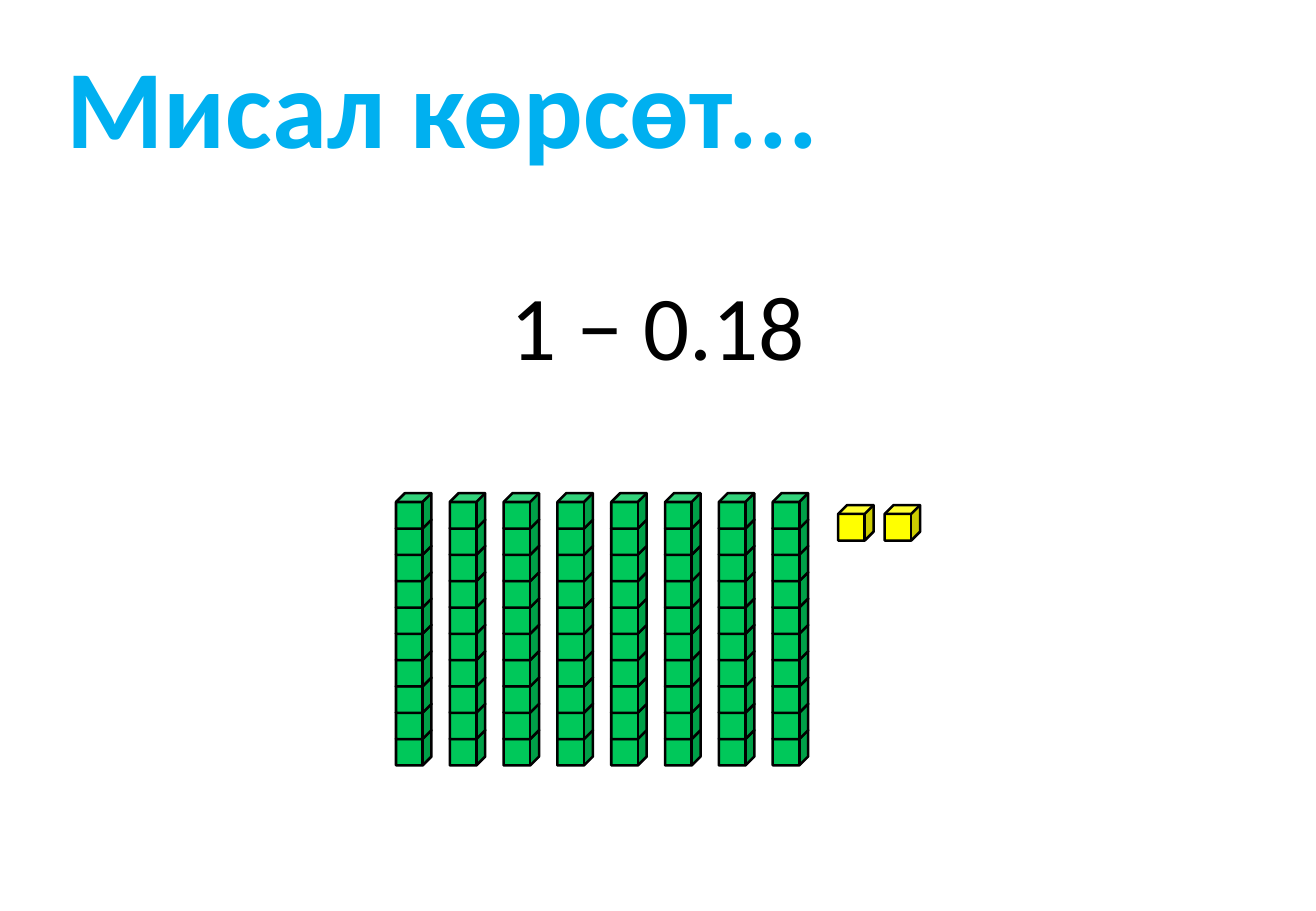
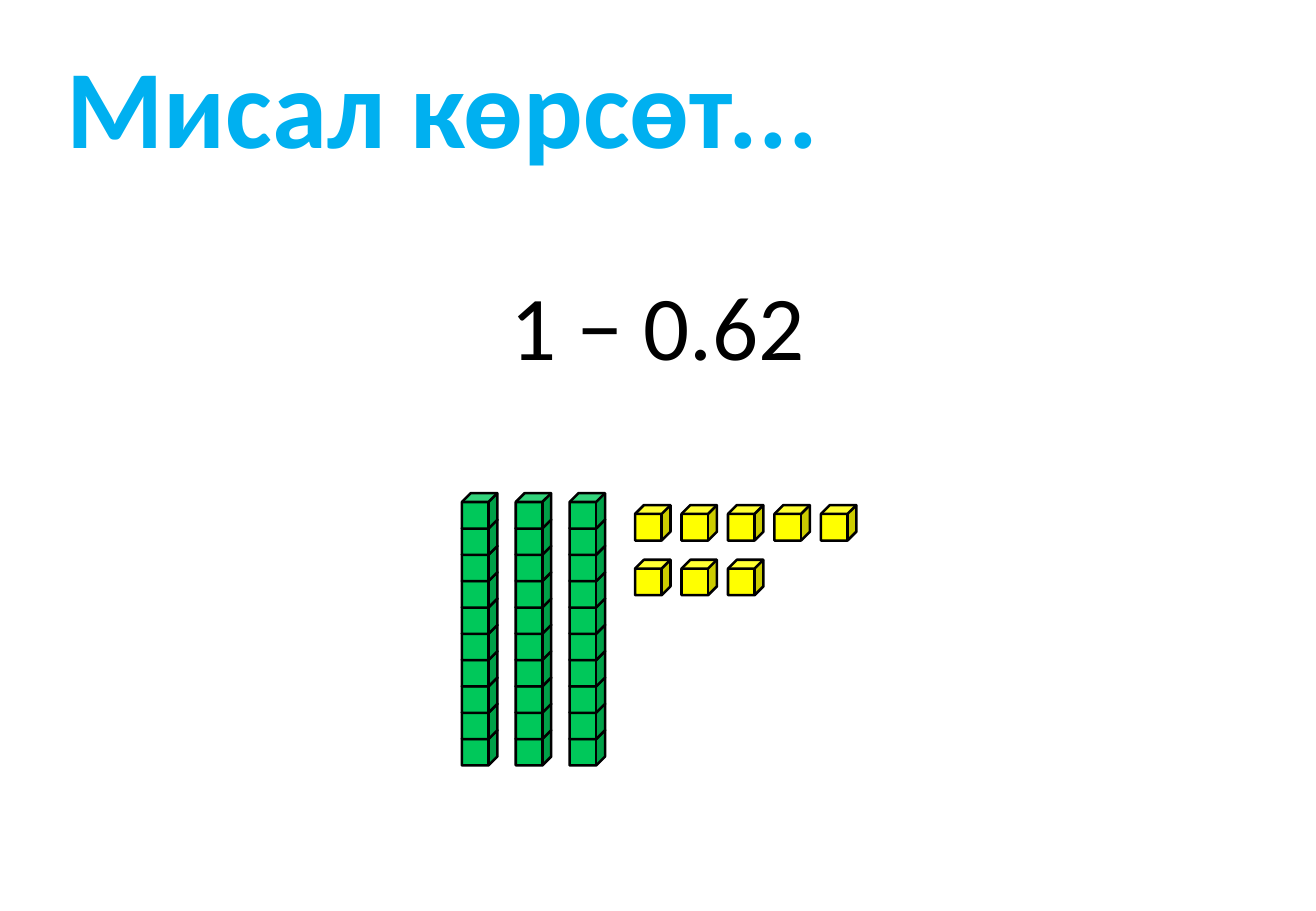
from dataclasses import dataclass

from pptx import Presentation
from pptx import util as u
from pptx.dml import color as c
from pptx.enum import shapes as s, text as t

FONT = "Calibri"
BLACK, BLUE, GREEN, YELLOW = "000000", "00B0F0", "00C85A", "FFFF00"
HEAD = "Мисал көрсөт..."

# Block grid, in points
CUBE = 21       # outer side of a cube
STACK = 15.6    # step between cubes in a rod
ROD_GAP = 31.9  # step between rods
ROD_TOP = 292.3
ONE_X, ONE_Y = 27.55, 32.4  # steps between single cubes
ONE_TOP = 299.4
ONE_IN = 38.8   # from the last rod to the first single cube
ROW = 5         # single cubes in a row


@dataclass
class Task:
    sum: str
    left: float
    tens: int
    ones: int


TASKS = [
    Task("1 − 0.18", 234.7, 8, 2),
    Task("1 − 0.62", 273.8, 3, 8),
]


def rgb(code: str) -> c.RGBColor:
    return c.RGBColor.from_string(code)


def place(box, left: float, top: float, wide: float, high: float) -> None:
    box.left, box.top = u.Pt(left), u.Pt(top)
    box.width, box.height = u.Pt(wide), u.Pt(high)


def write(box, words: str, size: float, hue: str, align, bold: bool = False) -> None:
    frame = box.text_frame
    frame.vertical_anchor = t.MSO_ANCHOR.TOP
    para = frame.paragraphs[0]
    para.alignment = align
    run = para.add_run()
    run.text = words
    font = run.font
    font.name, font.size, font.bold = FONT, u.Pt(size), bold
    font.color.rgb = rgb(hue)


def cube(group, left: float, top: float, hue: str) -> None:
    box = group.shapes.add_shape(
        s.MSO_SHAPE.CUBE, u.Pt(left), u.Pt(top), u.Pt(CUBE), u.Pt(CUBE))
    box.shadow.inherit = False
    box.fill.solid()
    box.fill.fore_color.rgb = rgb(hue)
    box.line.color.rgb = rgb(BLACK)
    box.line.width = u.Pt(1.5)


def blocks(slide, task: Task) -> None:
    # Rods of ten, stacked from the bottom up
    for col in range(task.tens):
        rod = slide.shapes.add_group_shape()
        for row in reversed(range(10)):
            cube(rod, task.left + col * ROD_GAP, ROD_TOP + row * STACK, GREEN)
    # Single cubes, in rows
    start = task.left + (task.tens - 1) * ROD_GAP + ONE_IN
    ones = slide.shapes.add_group_shape()
    for num in range(task.ones):
        row, col = divmod(num, ROW)
        cube(ones, start + col * ONE_X, ONE_TOP + row * ONE_Y, YELLOW)


def build(deck, task: Task) -> None:
    slide = deck.slides.add_slide(deck.slide_layouts[5])
    # Title
    title = slide.shapes.title
    place(title, 17.3, 18.7, 543, 87.1)
    title.text_frame.margin_left = u.Pt(22.1)
    write(title, HEAD, 66, BLUE, t.PP_ALIGN.LEFT, True)
    # Subtraction
    box = slide.shapes.add_textbox(0, 0, 0, 0)
    place(box, 294.5, 156.2, 190.8, 72.7)
    box.text_frame.word_wrap = False
    write(box, task.sum, 54, BLACK, t.PP_ALIGN.CENTER)
    blocks(slide, task)


def main() -> None:
    deck = Presentation()
    deck.slide_width, deck.slide_height = u.Pt(780), u.Pt(540)
    for task in TASKS:
        build(deck, task)
    deck.save("out.pptx")


if __name__ == "__main__":
    main()
